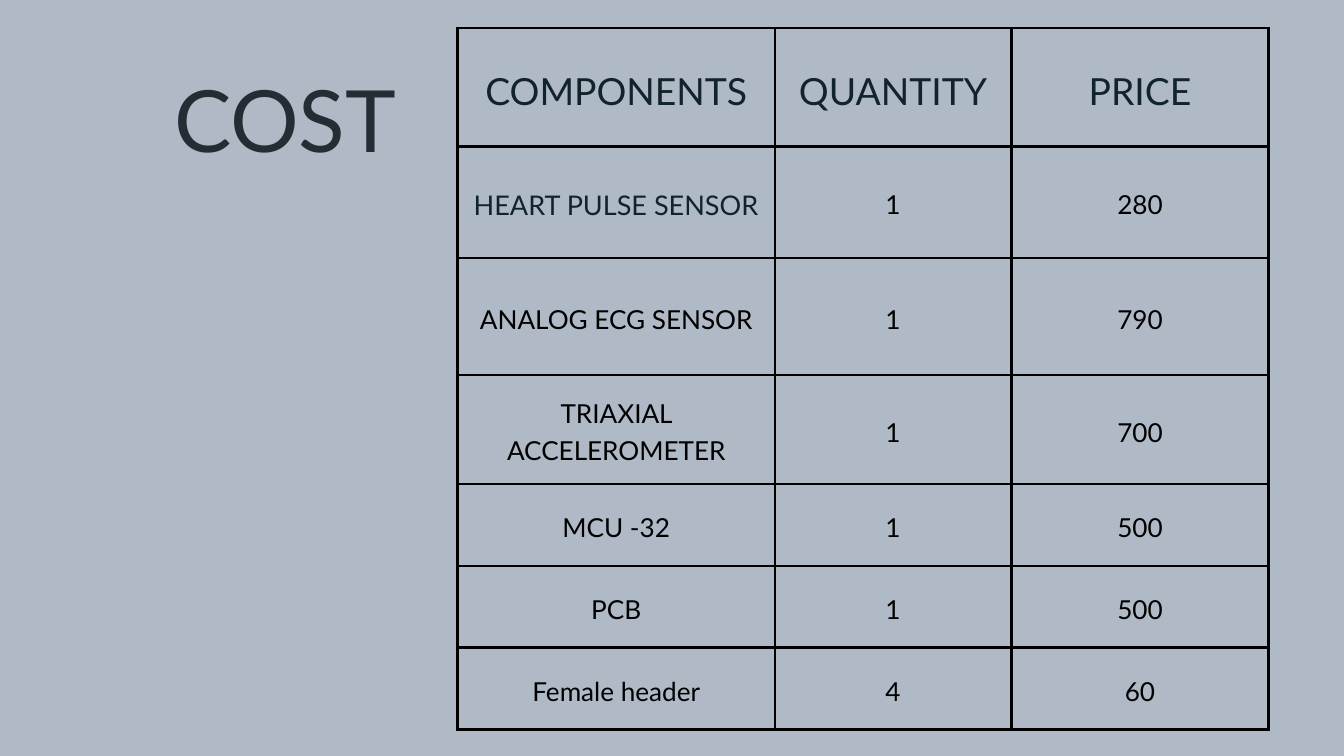
from dataclasses import dataclass

import pptx
import pptx.dml.color
import pptx.enum.text
import pptx.oxml
import pptx.oxml.ns
import pptx.util

WIDTH, HEIGHT = 20, 11.25
FONT = "Lato"
LEADING = 1.4
BLACK, INK, SLATE, BACKDROP = "000000", "11232B", "222E34", "AFBAC6"
BORDER_POINTS = 3
CELL_MARGIN = 0.21
COLUMN_WIDTHS = (4.72, 3.52, 3.83)


@dataclass(frozen=True)
class Style:
    size: float
    color: str


@dataclass(frozen=True)
class Row:
    height: float
    texts: tuple[str, str, str]
    label: Style
    values: Style


TITLE = Style(92, SLATE)
HEADING = Style(40, INK)
FIRST_ITEM = Style(29, INK)
BODY = Style(28, BLACK)

ROWS = (
    Row(1.76, ("COMPONENTS", "QUANTITY", "PRICE"), HEADING, HEADING),
    Row(1.66, ("HEART PULSE SENSOR", "1", "280"), FIRST_ITEM, BODY),
    Row(1.74, ("ANALOG ECG SENSOR", "1", "790"), BODY, BODY),
    Row(1.62, ("TRIAXIAL ACCELEROMETER", "1", "700"), BODY, BODY),
    Row(1.22, ("MCU -32", "1", "500"), BODY, BODY),
    Row(1.22, ("PCB", "1", "500"), BODY, BODY),
    Row(1.22, ("Female header", "4", "60"), BODY, BODY),
)


def rgb(color: str) -> pptx.dml.color.RGBColor:
    return pptx.dml.color.RGBColor.from_string(color)


def apply(target, values: dict) -> None:
    for name, value in values.items():
        setattr(target, name, value)


def write(frame, text: str, style: Style) -> None:
    """Put one centred paragraph into a text frame."""
    para = frame.paragraphs[0]
    apply(para, {
        "alignment": pptx.enum.text.PP_ALIGN.CENTER,
        "line_spacing": pptx.util.Pt(style.size * LEADING),
        "space_before": pptx.util.Pt(0),
    })
    span = para.add_run()
    span.text = text
    apply(span.font, {"name": FONT, "size": pptx.util.Pt(style.size), "bold": False})
    span.font.color.rgb = rgb(style.color)


def add_borders(cell) -> None:
    properties = cell._tc.get_or_add_tcPr()
    for side in ("lnL", "lnR", "lnT", "lnB"):
        properties.append(pptx.oxml.parse_xml(
            f'<a:{side} {pptx.oxml.ns.nsdecls("a")} w="{pptx.util.Pt(BORDER_POINTS)}">'
            f'<a:solidFill><a:srgbClr val="{BLACK}"/></a:solidFill></a:{side}>'
        ))


def fill_cell(cell, text: str, style: Style) -> None:
    margin = pptx.util.Inches(CELL_MARGIN)
    apply(cell, {
        "margin_left": margin, "margin_right": margin,
        "margin_top": margin, "margin_bottom": margin,
        "vertical_anchor": pptx.enum.text.MSO_ANCHOR.MIDDLE,
    })
    add_borders(cell)
    cell.fill.background()
    write(cell.text_frame, text, style)


def add_title(page, text: str) -> None:
    title = page.shapes.title
    apply(title, {
        "left": pptx.util.Inches(1.12), "top": pptx.util.Inches(0.74),
        "width": pptx.util.Inches(6.25), "height": pptx.util.Inches(1.91),
    })
    apply(title.text_frame, {
        "margin_left": 0, "margin_right": 0, "margin_top": 0, "margin_bottom": 0,
        "word_wrap": True,
        "vertical_anchor": pptx.enum.text.MSO_ANCHOR.TOP,
        "auto_size": pptx.enum.text.MSO_AUTO_SIZE.SHAPE_TO_FIT_TEXT,
    })
    write(title.text_frame, text, TITLE)


def add_cost_table(page) -> None:
    area = (6.81, 0.42, sum(COLUMN_WIDTHS), sum(row.height for row in ROWS))
    table = page.shapes.add_table(
        len(ROWS), len(COLUMN_WIDTHS), *map(pptx.util.Inches, area)
    ).table
    apply(table, {"first_row": False, "horz_banding": False})
    for column, width in zip(table.columns, COLUMN_WIDTHS):
        column.width = pptx.util.Inches(width)
    for index, row in enumerate(ROWS):
        table.rows[index].height = pptx.util.Inches(row.height)
        styles = (row.label, row.values, row.values)
        for cell, text, style in zip(table.rows[index].cells, row.texts, styles):
            fill_cell(cell, text, style)


def main() -> None:
    deck = pptx.Presentation()
    apply(deck, {
        "slide_width": pptx.util.Inches(WIDTH),
        "slide_height": pptx.util.Inches(HEIGHT),
    })
    page = deck.slides.add_slide(deck.slide_layouts.get_by_name("Title Only"))
    page.background.fill.solid()
    page.background.fill.fore_color.rgb = rgb(BACKDROP)
    add_cost_table(page)
    add_title(page, "COST")
    deck.save("out.pptx")


if __name__ == "__main__":
    main()
